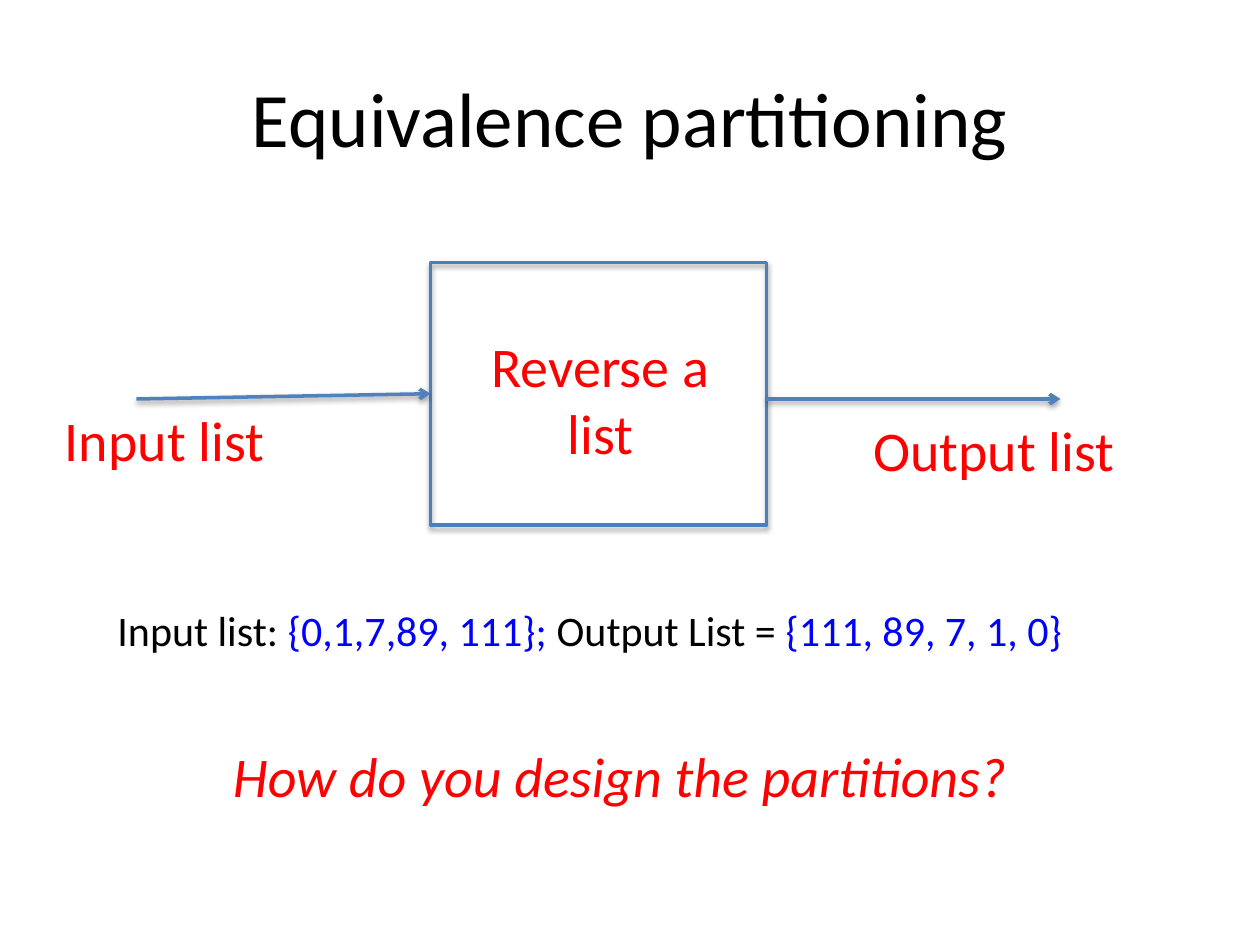
"""Build the equivalence partitioning slide."""
from pptx import Presentation
from pptx import util as u
from pptx.dml.color import RGBColor
from pptx.enum import shapes, text
from pptx.oxml import parse_xml
from pptx.oxml.ns import nsdecls

BLACK = RGBColor(0, 0, 0)
RED = RGBColor(255, 0, 0)
BLUE = RGBColor(0, 0, 255)
EDGE = RGBColor(0x4B, 0x7E, 0xBC)
ARROW = RGBColor(0x4F, 0x81, 0xBD)
FONT = "Calibri"
COLS, ROWS = 24, 18
WIDE, HIGH = u.Inches(10), u.Inches(7.5)

TITLE = "Equivalence partitioning"
BOX = (8.2, 5, 6.4, 5)
STEP = ["Reverse a", "list"]
LABELS = [
    ("Input list", (1, 7.6, 4.34, 1.54)),
    ("Output list", (16.4, 7.8, 5.14, 1.54)),
]
SAMPLE = [
    ("Input list: ", BLACK),
    ("{0,1,7,89, 111}; ", BLUE),
    ("Output List = ", BLACK),
    ("{111, 89, 7, 1, 0}", BLUE),
]
ASK = "How do you design the partitions?"


def place(*cells):
    """Turn grid columns and rows into slide lengths."""
    sides = (WIDE / COLS, HIGH / ROWS)
    return [int(cell * sides[i % 2]) for i, cell in enumerate(cells)]


def write(frame, lines, size=32, color=RED, italic=False,
          align=text.PP_ALIGN.LEFT, wrap=False):
    """Fill a text frame; each line is a string or a list of coloured runs."""
    frame.word_wrap = wrap
    for i, line in enumerate(lines):
        para = frame.paragraphs[0] if i == 0 else frame.add_paragraph()
        para.alignment = align
        runs = [(line, color)] if isinstance(line, str) else line
        for words, hue in runs:
            run = para.add_run()
            run.text = words
            run.font.name = FONT
            run.font.size = u.Pt(size)
            run.font.italic = italic
            run.font.color.rgb = hue


def label(slide, lines, cells, **style):
    """Add a text box on the grid."""
    write(slide.shapes.add_textbox(*place(*cells)).text_frame, lines, **style)


def shade(shape, alpha, dist):
    """Give a shape or connector a soft shadow below it."""
    props = shape._element.spPr
    for old in props.findall("{*}effectLst"):
        props.remove(old)
    props.append(parse_xml(
        f'<a:effectLst {nsdecls("a")}><a:outerShdw blurRad="40000" '
        f'dist="{dist}" dir="5400000" rotWithShape="0"><a:srgbClr '
        f'val="{BLACK}"><a:alpha val="{alpha}"/></a:srgbClr>'
        '</a:outerShdw></a:effectLst>'))


def arrow(slide, *cells):
    """Add an arrow between two grid points."""
    line = slide.shapes.add_connector(
        shapes.MSO_CONNECTOR.STRAIGHT, *place(*cells))
    line.line.color.rgb = ARROW
    line.line.width = u.Pt(2)
    line.get_or_add_ln().append(
        parse_xml(f'<a:tailEnd {nsdecls("a")} type="arrow"/>'))
    shade(line, 38000, 20000)
    return line


def main():
    """Lay out the slide and save it."""
    deck = Presentation()
    deck.slide_width, deck.slide_height = WIDE, HIGH
    slide = deck.slides.add_slide(deck.slide_layouts[5])

    head = slide.shapes.title
    head.left, head.top, head.width, head.height = place(1.2, 0.72, 21.6, 3)
    head.text_frame.vertical_anchor = text.MSO_ANCHOR.MIDDLE
    write(head.text_frame, [TITLE], size=44, color=BLACK,
          align=text.PP_ALIGN.CENTER, wrap=True)

    box = slide.shapes.add_shape(shapes.MSO_SHAPE.RECTANGLE, *place(*BOX))
    box.fill.background()
    box.line.color.rgb = EDGE
    box.line.width = u.Pt(2)
    shade(box, 35000, 23000)
    label(slide, STEP, (9.07, 6.2, 4.73, 2.83), align=text.PP_ALIGN.CENTER)

    left, top, width, height = BOX
    arrow(slide, 2.6, 7.6, left, top + height / 2).end_connect(box, 1)
    arrow(slide, left + width, 7.6, 20.2, 7.6)

    for words, cells in LABELS:
        label(slide, [words], cells)
    label(slide, [SAMPLE], (2, 11.4, 18.7, 1.2), size=24)
    label(slide, [ASK], (4.2, 14, 15.62, 1.54), italic=True)
    deck.save("out.pptx")


if __name__ == "__main__":
    main()
